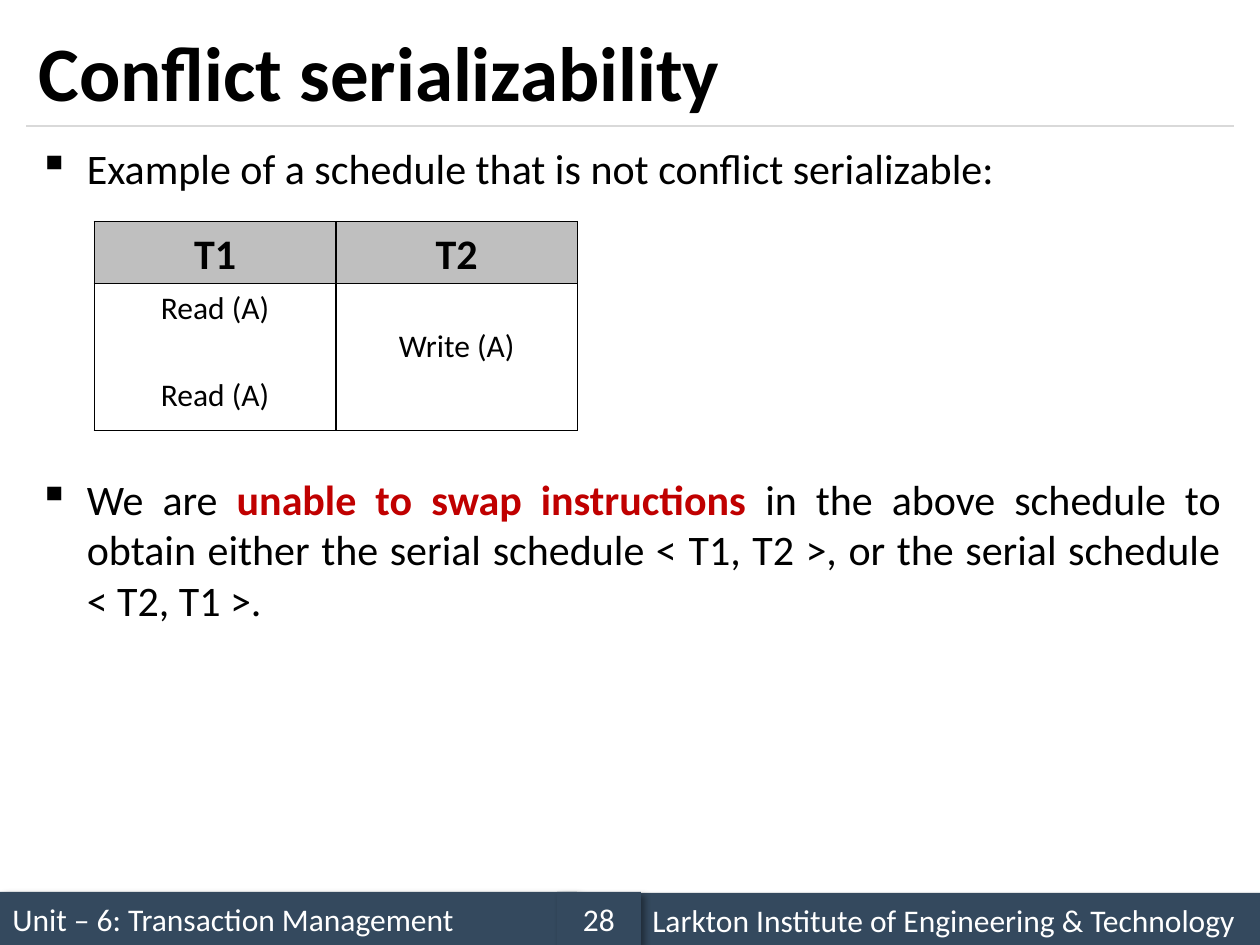
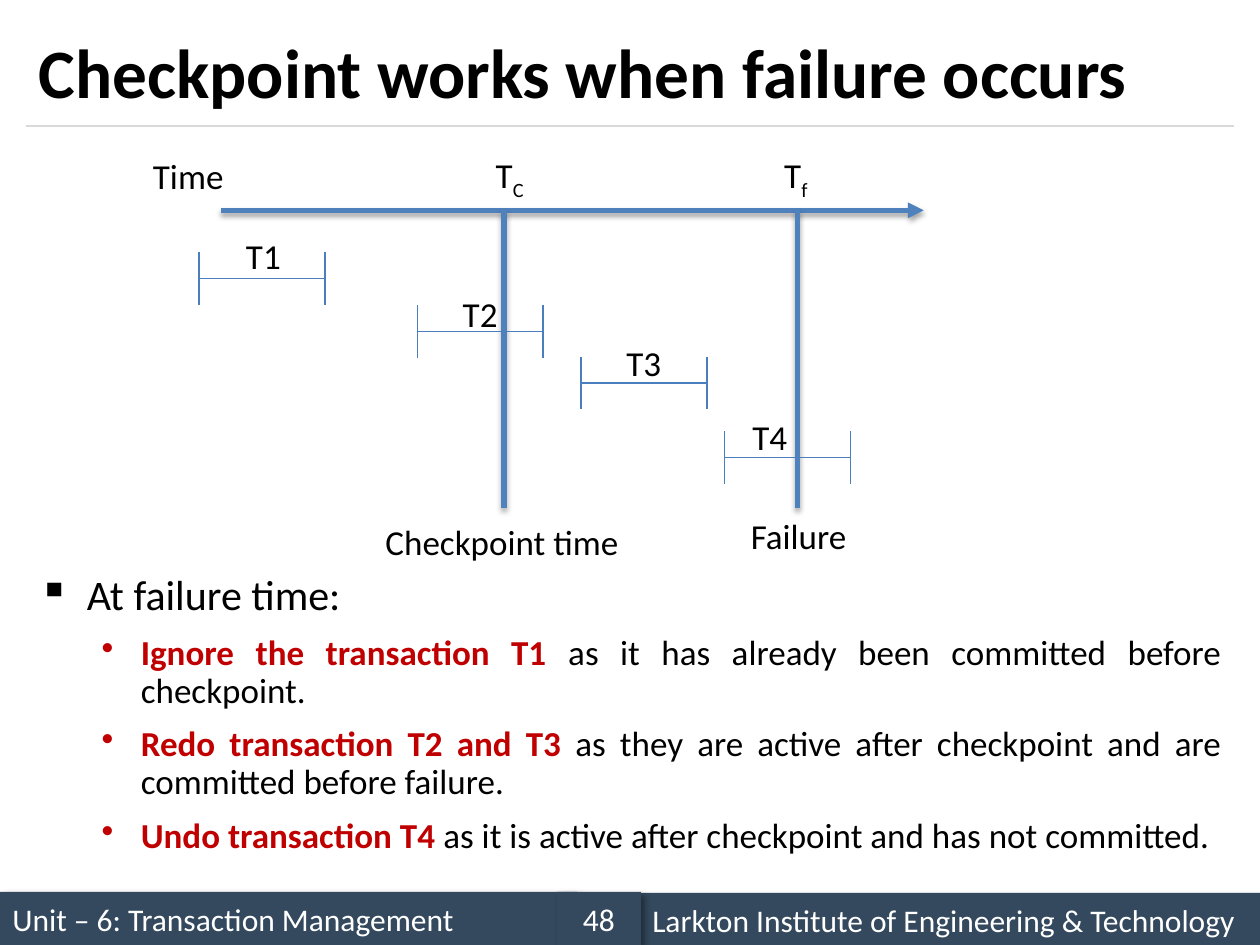
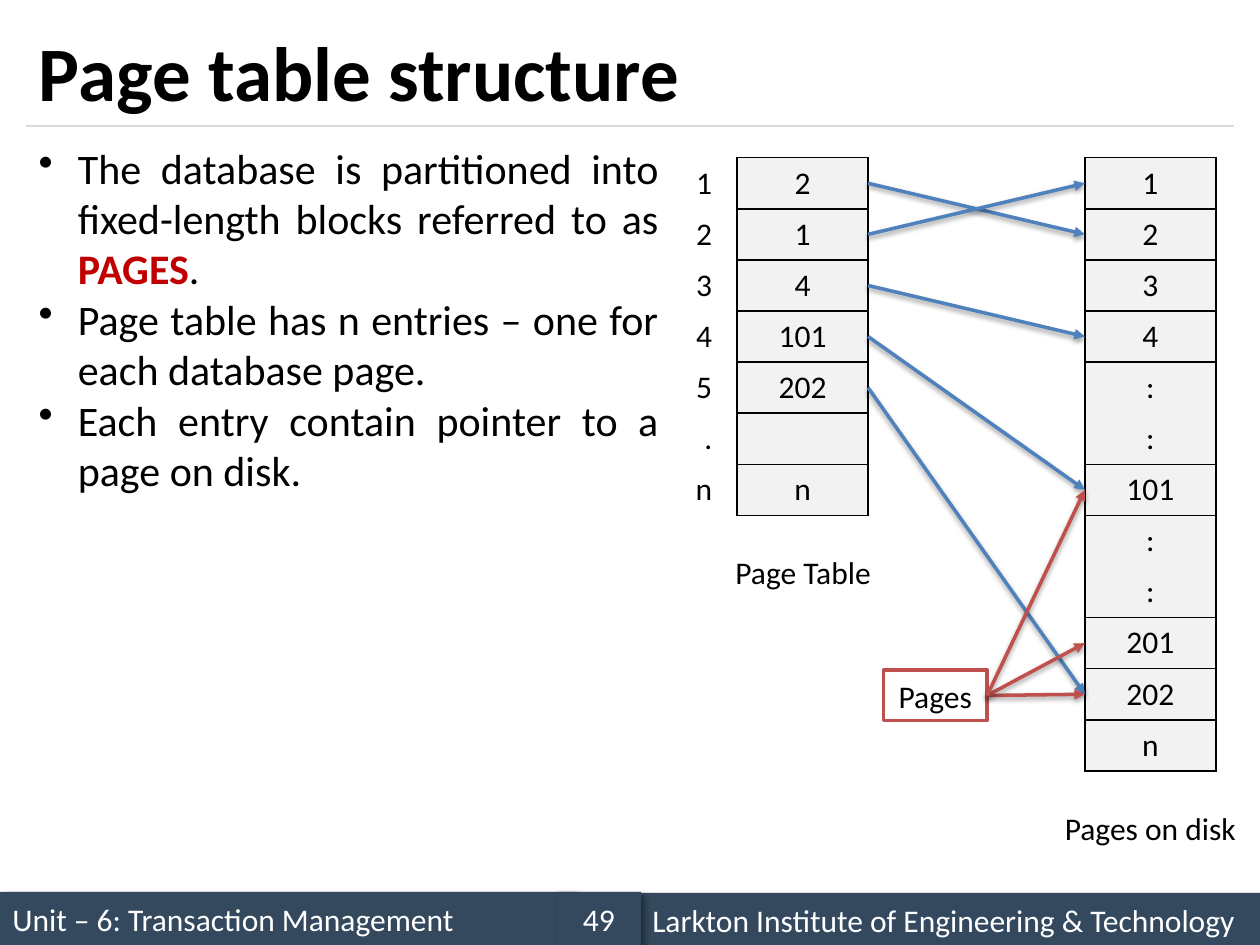
from lxml.etree import SubElement
from pptx import Presentation
from pptx.dml.color import RGBColor
from pptx.enum.shapes import MSO_CONNECTOR, MSO_SHAPE
from pptx.enum.text import MSO_ANCHOR, MSO_AUTO_SIZE, PP_ALIGN
from pptx.oxml.ns import qn
from pptx.util import Cm, Pt

LEFT, CENTER, RIGHT, JUSTIFY = PP_ALIGN.LEFT, PP_ALIGN.CENTER, PP_ALIGN.RIGHT, PP_ALIGN.JUSTIFY
TOP, MIDDLE = MSO_ANCHOR.TOP, MSO_ANCHOR.MIDDLE
RECTANGLE, STRAIGHT = MSO_SHAPE.RECTANGLE, MSO_CONNECTOR.STRAIGHT
NO_AUTOFIT = MSO_AUTO_SIZE.NONE

FONT = "Calibri"
BLACK, WHITE = "000000", "FFFFFF"
NAVY, RULE_GREY = "34495E", "D9D9D9"
BLUE, THIN_BLUE, RED = "4F81BD", "4B7EBC", "C0504D"
HEADER_GREY, CELL_GREY = "BFBFBF", "F2F2F2"
ACCENT = {"color": "C00000", "bold": True}
SUBSCRIPT = {"baseline": -25000}
SQUARE = {"bullet": "▪", "indent": 0.97, "hang": 0.97}
SUB_DOT = {"bullet": "•", "indent": 2.06, "hang": 0.79}
DOT = {"bullet": "•", "indent": 0.79, "hang": 0.79}
BAND_SHADOW = {"alpha": 40, "blur": 4, "distance": 3, "angle": 45}
AXIS_SHADOW = {"alpha": 35, "blur": 3.1, "distance": 1.8, "angle": 90}
ARROW_SHADOW = {"alpha": 38, "blur": 3.1, "distance": 1.6, "angle": 90}

MARGIN, CONTENT_WIDTH, BODY_TOP = 0.53, 24.34, 2.74
ROW_HEIGHT, STACK_TOP = 1.03, 3.18


def rgb(value):
    return RGBColor.from_string(value)


def write(frame, paragraphs, size=18, color=BLACK, bold=False, align=LEFT, anchor=TOP,
          before=0, spacing=None, bullet=None, indent=0, hang=0):
    frame.word_wrap = True
    frame.vertical_anchor = anchor
    for number, runs in enumerate(paragraphs):
        paragraph = frame.add_paragraph() if number else frame.paragraphs[0]
        paragraph.alignment = align
        paragraph.space_before = Pt(before)
        paragraph.line_spacing = spacing
        if bullet:
            properties = paragraph._p.get_or_add_pPr()
            properties.set("marL", str(Cm(indent)))
            properties.set("indent", str(-Cm(hang)))
            SubElement(properties, qn("a:buChar"), char=bullet)
        for part in [runs] if isinstance(runs, str) else runs:
            text, special = (part, {}) if isinstance(part, str) else part
            run = paragraph.add_run()
            run.text = text
            run.font.name = FONT
            run.font.size = Pt(size)
            run.font.bold = special.get("bold", bold)
            run.font.color.rgb = rgb(special.get("color", color))
            if "baseline" in special:
                run._r.get_or_add_rPr().set("baseline", str(special["baseline"]))


def cast_shadow(effects, alpha, blur, distance, angle):
    outer = SubElement(effects, qn("a:outerShdw"), blurRad=str(Pt(blur)),
                       dist=str(Pt(distance)), dir=str(angle * 60000), rotWithShape="0")
    tint = SubElement(outer, qn("a:srgbClr"), val=BLACK)
    SubElement(tint, qn("a:alpha"), val=str(alpha * 1000))


def set_borders(cell, sides):
    properties = cell._tc.get_or_add_tcPr()
    for side in "LRTB":
        border = SubElement(properties, qn(f"a:ln{side}"), w=str(Pt(1)))
        if side in sides:
            SubElement(SubElement(border, qn("a:solidFill")), qn("a:srgbClr"), val=BLACK)
        else:
            SubElement(border, qn("a:noFill"))


class Deck:
    def __init__(self):
        self.presentation = Presentation()
        self.presentation.slide_width = Cm(25.4)
        self.presentation.slide_height = Cm(19.05)
        self.slide = None

    def new_slide(self, title, number, title_size=44):
        layout = self.presentation.slide_layouts[5]
        self.slide = self.presentation.slides.add_slide(layout)
        heading = self.slide.shapes.title
        heading.left, heading.top = Cm(MARGIN), Cm(0.3)
        heading.width, heading.height = Cm(CONTENT_WIDTH), Cm(2.24)
        heading.text_frame.auto_size = NO_AUTOFIT
        write(heading.text_frame, [title], size=title_size, bold=True, anchor=MIDDLE)
        self.line(MARGIN, 2.54, MARGIN + CONTENT_WIDTH, 2.54, RULE_GREY, 0.75)
        for left, top, width, words, align in (
            (0, 17.98, 11.63, "Unit – 6: Transaction Management", LEFT),
            (12.9, 18, 12.5, "Larkton Institute of Engineering & Technology", LEFT),
            (11.23, 17.98, 1.69, str(number), CENTER),
        ):
            self.box(left, top, width, 1.07, words, NAVY, shadow=BAND_SHADOW,
                     color=WHITE, align=align)

    def box(self, left, top, width, height, words, fill, outline=None, shadow=None, **fmt):
        shape = self.slide.shapes.add_shape(RECTANGLE, Cm(left), Cm(top), Cm(width), Cm(height))
        shape.fill.solid()
        shape.fill.fore_color.rgb = rgb(fill)
        if outline:
            shape.line.color.rgb = rgb(outline)
            shape.line.width = Pt(2)
        else:
            shape.line.fill.background()
        shape.shadow.inherit = False
        if shadow:
            cast_shadow(shape._element.spPr.find(qn("a:effectLst")), **shadow)
        write(shape.text_frame, [words], anchor=MIDDLE, **fmt)

    def text(self, left, top, width, height, paragraphs, **fmt):
        holder = self.slide.shapes.add_textbox(Cm(left), Cm(top), Cm(width), Cm(height))
        write(holder.text_frame, paragraphs, **fmt)

    def label(self, left, top, width, runs, size=20):
        self.text(left, top, width, 1.1, [runs], size=size, align=CENTER)

    def line(self, x1, y1, x2, y2, color, width, arrow=False, shadow=None):
        connector = self.slide.shapes.add_connector(STRAIGHT, Cm(x1), Cm(y1), Cm(x2), Cm(y2))
        connector.line.color.rgb = rgb(color)
        connector.line.width = Pt(width)
        if arrow:
            SubElement(connector.line._get_or_add_ln(), qn("a:tailEnd"), type="triangle")
        effects = SubElement(connector._element.spPr, qn("a:effectLst"))
        if shadow:
            cast_shadow(effects, **shadow)

    def table(self, left, top, widths, heights):
        frame = self.slide.shapes.add_table(len(heights), len(widths), Cm(left), Cm(top),
                                            Cm(sum(widths)), Cm(sum(heights)))
        grid = frame.table
        grid.first_row = grid.horz_banding = False
        for column, width in zip(grid.columns, widths):
            column.width = Cm(width)
        for row, height in zip(grid.rows, heights):
            row.height = Cm(height)
        return grid

    def cell(self, cell, paragraphs, fill=None, sides="LRTB", **fmt):
        set_borders(cell, sides)
        if fill:
            cell.fill.solid()
            cell.fill.fore_color.rgb = rgb(fill)
        else:
            cell.fill.background()
        write(cell.text_frame, paragraphs, **fmt)

    def stack(self, left, width, entries, align=CENTER, fill=CELL_GREY, bordered=True):
        grid = self.table(left, STACK_TOP, [width], [ROW_HEIGHT] * len(entries))
        for row, entry in enumerate(entries):
            sides = "LRTB" if bordered else ""
            if entry == ":":
                sides = "LRB" if entries[row - 1] == ":" else "LRT"
            self.cell(grid.cell(row, 0), [entry] if entry else [], fill, sides, align=align)


def conflict_slide(deck):
    deck.new_slide("Conflict serializability", 28)
    body = {"size": 24, "align": JUSTIFY, **SQUARE}
    deck.text(MARGIN, BODY_TOP, CONTENT_WIDTH, 1.3,
              ["Example of a schedule that is not conflict serializable:"], **body)
    deck.text(MARGIN, 9.42, CONTENT_WIDTH, 3.4,
              [["We are ", ("unable to swap instructions ", ACCENT),
                "in the above schedule to obtain either the serial schedule "
                "< T1, T2 >, or the serial schedule < T2, T1 >."]], **body)
    schedule = deck.table(1.9, 4.47, [4.87, 4.87], [1.24, 2.97])
    steps = {"T1": ["Read (A)", "Read (A)"], "T2": ["Write (A)"]}
    for column, (transaction, operations) in enumerate(steps.items()):
        header, work = schedule.cell(0, column), schedule.cell(1, column)
        for cell in (header, work):
            cell.margin_left = cell.margin_right = Cm(0.18)
            cell.margin_top = cell.margin_bottom = 0
        deck.cell(header, [transaction], HEADER_GREY, size=24, bold=True,
                  align=CENTER, spacing=1.15)
        deck.cell(work, operations, align=CENTER, spacing=1.15, before=25)
    schedule.cell(1, 1).margin_top = Cm(0.78)


def checkpoint_slide(deck):
    deck.new_slide("Checkpoint works when failure occurs", 48, title_size=39.6)
    axis_y, checkpoint_x, failure_x = 4.24, 10.16, 16.08
    deck.line(4.45, axis_y, 18.62, axis_y, BLUE, 3, arrow=True, shadow=AXIS_SHADOW)
    for x in (checkpoint_x, failure_x):
        deck.line(x, axis_y, x, 10.24, BLUE, 3, shadow=AXIS_SHADOW)

    span, tick = 2.54, 1.06
    for name, left, top, label_left, label_top in (
        ("T1", 4.01, 5.08, 4.65, 4.6),
        ("T2", 8.41, 6.15, 9.02, 5.77),
        ("T3", 11.71, 7.19, 12.32, 6.76),
        ("T4", 14.61, 8.69, 14.86, 8.26),
    ):
        deck.line(left, top + tick / 2, left + span, top + tick / 2, THIN_BLUE, 0.75)
        for x in (left, left + span):
            deck.line(x, top, x, top + tick, THIN_BLUE, 0.75)
        deck.label(label_left, label_top, 1.32, name)

    deck.label(2.74, 3, 2.11, "Time")
    deck.label(9.32, 2.97, 1.91, ["T", ("C", SUBSCRIPT)])
    deck.label(15.09, 2.97, 1.91, ["T", ("f", SUBSCRIPT)])
    deck.label(7.44, 10.36, 5.36, "Checkpoint time")
    deck.label(14.78, 10.24, 2.64, "Failure")

    deck.text(MARGIN, 11.46, CONTENT_WIDTH, 1.2, ["At failure time:"],
              size=24, spacing=0.9, **SQUARE)
    deck.text(MARGIN, 12.68, CONTENT_WIDTH, 4.9, [
        [("Ignore the transaction T1 ", ACCENT),
         "as it has already been committed before checkpoint."],
        [("Redo transaction T2 and T3 ", ACCENT),
         "as they are active after checkpoint and are committed before failure."],
        [("Undo transaction T4 ", ACCENT),
         "as it is active after checkpoint and has not committed."],
    ], size=20, align=JUSTIFY, spacing=0.9, before=9, **SUB_DOT)


def page_table_slide(deck):
    deck.new_slide("Page table structure", 49)
    deck.text(MARGIN, BODY_TOP, 13, 7.44, [
        ["The database is partitioned into fixed-length blocks referred to as ",
         ("PAGES", ACCENT), "."],
        "Page table has n entries – one for each database page.",
        "Each entry contain pointer to a page on disk.",
    ], size=24, align=JUSTIFY, **DOT)

    table_left, disk_left, column_width = 14.86, 21.87, 2.64
    pointers = ["2", "1", "4", "101", "202", "", "n"]
    disk_pages = ["1", "2", "3", "4", ":", ":", "101", ":", ":", "201", "202", "n"]
    deck.stack(table_left, column_width, pointers)
    deck.stack(13.54, 1.07, ["1", "2", "3", "4", "5", ".", "n"],
               align=RIGHT, fill=None, bordered=False)
    deck.stack(disk_left, column_width, disk_pages)
    deck.label(14.5, 11.02, 3.38, "Page Table", size=18)
    deck.label(21.21, 16.18, 3.96, "Pages on disk", size=18)

    def row_middle(row):
        return STACK_TOP + ROW_HEIGHT * (row + 0.5)

    def point_to(page, x, y, color):
        deck.line(x, y, disk_left, row_middle(disk_pages.index(page)), color, 2,
                  arrow=True, shadow=ARROW_SHADOW)

    for row, page in enumerate(pointers[:5]):
        point_to(page, table_left + column_width, row_middle(row), BLUE)
    deck.box(17.81, 13.51, 2.09, 1.02, "Pages", WHITE, outline=RED, align=CENTER)
    for page in ("202", "201", "101"):
        point_to(page, 19.9, 14.02, RED)


def main():
    deck = Deck()
    conflict_slide(deck)
    checkpoint_slide(deck)
    page_table_slide(deck)
    deck.presentation.save("out.pptx")


if __name__ == "__main__":
    main()
